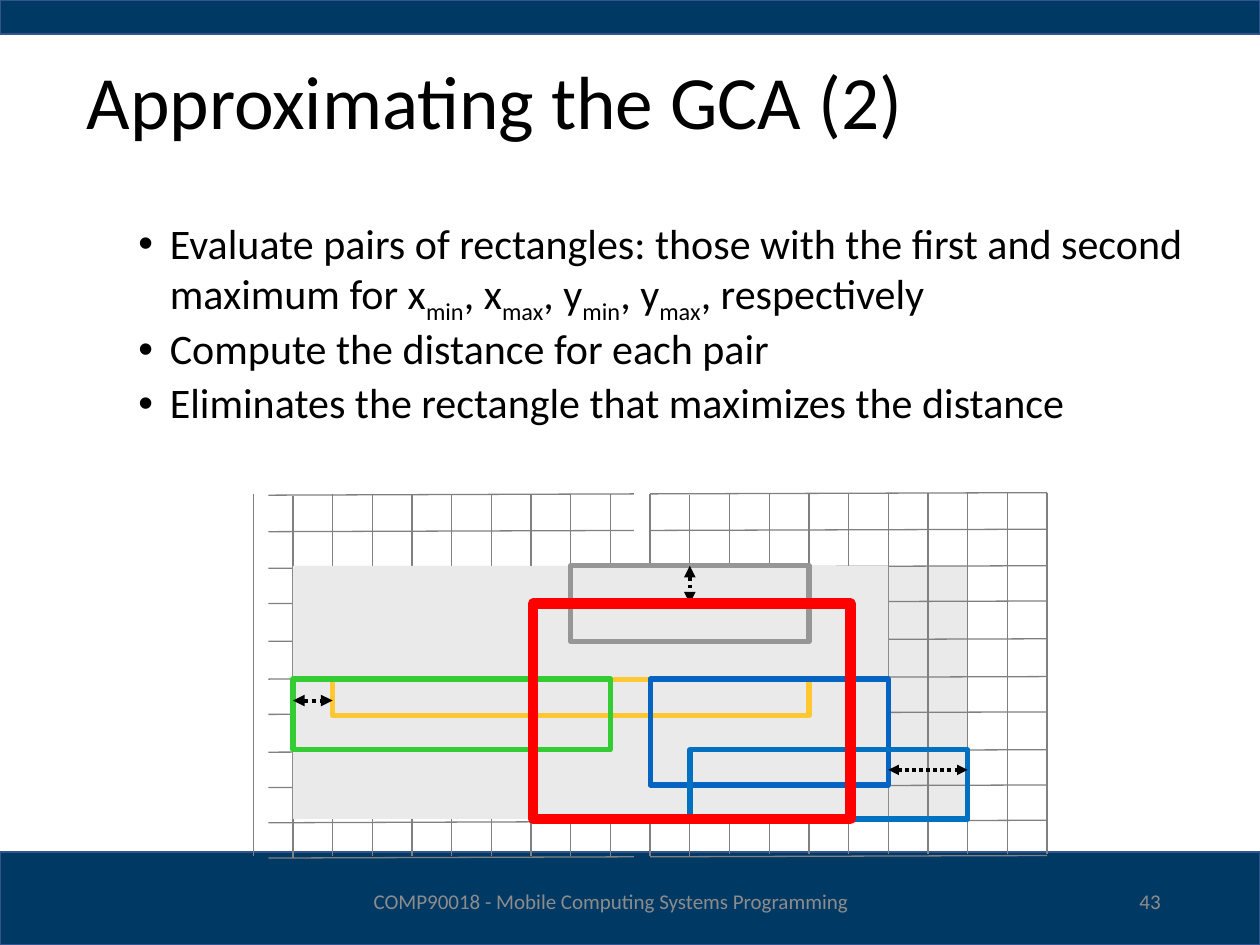
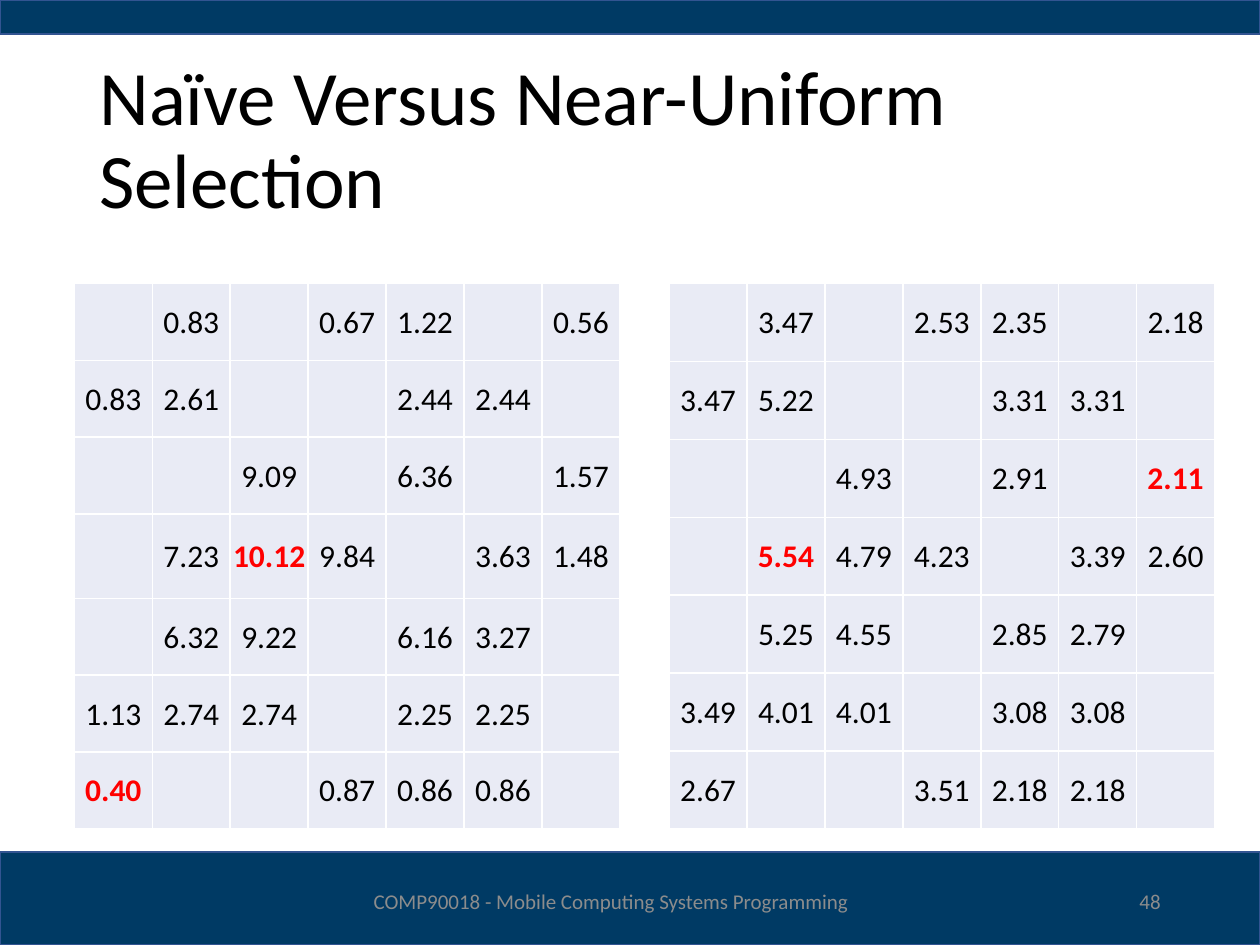
from lxml import etree
from pptx import Presentation
from pptx.dml.color import RGBColor
from pptx.enum.dml import MSO_LINE
from pptx.enum.shapes import MSO_CONNECTOR, MSO_SHAPE
from pptx.enum.text import MSO_ANCHOR, PP_ALIGN
from pptx.oxml.ns import qn
from pptx.util import Inches, Pt

NAVY = RGBColor(0x00, 0x3A, 0x64)
BAND_EDGE = RGBColor(0x32, 0x54, 0x91)
BLACK = RGBColor(0x00, 0x00, 0x00)
WHITE = RGBColor(0xFF, 0xFF, 0xFF)
RED = RGBColor(0xFF, 0x00, 0x00)
FOOTER_GREY = RGBColor(0x8C, 0x8C, 0x8C)
AREA_GREY = RGBColor(0xEA, 0xEA, 0xEA)
GRID_GREY = RGBColor(0x80, 0x80, 0x80)
BOX_GREY = RGBColor(0x96, 0x96, 0x96)
YELLOW = RGBColor(0xFF, 0xC7, 0x31)
GREEN = RGBColor(0x33, 0xCC, 0x33)
BLUE = RGBColor(0x05, 0x63, 0xC1)
BRIGHT_BLUE = RGBColor(0x00, 0x70, 0xC0)
CELL_FILL = RGBColor(0xE9, 0xEB, 0xF5)

FONT = "Calibri"
WIDTH, HEIGHT = 10, 7.5
BANDS = [(0, 6.76, WIDTH, 0.74), (0, 0, WIDTH, 0.27)]
FOOTER = "COMP90018 - Mobile Computing Systems Programming"

# Spans starting with "_" are subscripts.
BULLETS = [
    ["Evaluate pairs of rectangles: those with the first and second maximum for x",
     "_min", ", x", "_max", ", y", "_min", ", y", "_max", ", respectively"],
    ["Compute the distance for each pair"],
    ["Eliminates the rectangle that maximizes the distance"],
]

GRID_LEFT, GRID_STEP = 2.01, 0.315
HALF, COLUMNS = 10, 20
GRID_ROWS = [3.93, 4.22, 4.51, 4.79, 5.09, 5.39, 5.67, 5.97, 6.25, 6.53, 6.81]
BOX_ROWS = {2: 4.49, 3: 4.79, 4: 5.09, 5: 5.39, 6: 5.68, 7: 5.95, 8: 6.23, 9: 6.5}
# Left column, top row, right column, bottom row
WIDE_AREA = (1, 2, 18, 9)
NARROW_AREA = (1, 2, 16, 9)
USER_BOXES = [
    ((2, 5, 14, 6), YELLOW),
    ((1, 5, 9, 7), GREEN),
    ((10, 5, 16, 8), BLUE),
    ((11, 7, 18, 9), BRIGHT_BLUE),
    ((8, 2, 14, 4), BOX_GREY),
]
CLOAK = (7.05, 3, 15.05, 9)
# Start column, end column, height, line width
SIDE_DISTANCES = [(1, 2, 5.56, 2.25), (16, 18, 6.11, 2)]

TABLE_TOP, TABLE_SIDE = 2.25, 4.33
NAIVE = [
    ["", "0.83", "", "0.67", "1.22", "", "0.56"],
    ["0.83", "2.61", "", "", "2.44", "2.44", ""],
    ["", "", "9.09", "", "6.36", "", "1.57"],
    ["", "7.23", "10.12", "9.84", "", "3.63", "1.48"],
    ["", "6.32", "9.22", "", "6.16", "3.27", ""],
    ["1.13", "2.74", "2.74", "", "2.25", "2.25", ""],
    ["0.40", "", "", "0.87", "0.86", "0.86", ""],
]
NEAR_UNIFORM = [
    ["", "3.47", "", "2.53", "2.35", "", "2.18"],
    ["3.47", "5.22", "", "", "3.31", "3.31", ""],
    ["", "", "4.93", "", "2.91", "", "2.11"],
    ["", "5.54", "4.79", "4.23", "", "3.39", "2.60"],
    ["", "5.25", "4.55", "", "2.85", "2.79", ""],
    ["3.49", "4.01", "4.01", "", "3.08", "3.08", ""],
    ["2.67", "", "", "3.51", "2.18", "2.18", ""],
]
# Left edge, values, extremes in red, row heights
TABLES = [
    (0.59, NAIVE, {"10.12", "0.40"}, [0.61] * 3 + [0.67] + [0.61] * 3),
    (5.31, NEAR_UNIFORM, {"5.54", "2.11"}, [TABLE_SIDE / 7] * 7),
]


def inches(values):
    return [Inches(value) for value in values]


def add_span(para, text, size, color=BLACK, bold=False):
    span = para.add_run()
    span.text = text.removeprefix("_")
    font = span.font
    font.name, font.size, font.bold = FONT, Pt(size), bold
    font.color.rgb = color
    if text.startswith("_"):
        font._element.set("baseline", "-25000")


def add_text(page, place, paragraphs, size, color=BLACK, align=PP_ALIGN.LEFT,
             anchor=MSO_ANCHOR.MIDDLE, spacing=None, bulleted=False):
    """Add a text box; each paragraph is a list of spans."""
    frame = page.shapes.add_textbox(*inches(place)).text_frame
    frame.word_wrap, frame.vertical_anchor = True, anchor
    for index, spans in enumerate(paragraphs):
        para = frame.add_paragraph() if index else frame.paragraphs[0]
        if bulleted:
            props = para._p.get_or_add_pPr()
            props.set("marL", str(Inches(0.75)))
            props.set("indent", str(Inches(-0.25)))
            etree.SubElement(props, qn("a:buFont"), typeface="Arial")
            etree.SubElement(props, qn("a:buChar"), char="•")
        para.alignment = align
        if spacing:
            para.line_spacing = spacing
        if index:
            para.space_before = Pt(5)
        for text in spans:
            add_span(para, text, size, color)


def add_box(page, place, fill=None, line=None, width=1):
    box = page.shapes.add_shape(MSO_SHAPE.RECTANGLE, *inches(place))
    box.shadow.inherit = False
    if fill is None:
        box.fill.background()
    else:
        box.fill.solid()
        box.fill.fore_color.rgb = fill
    if line is None:
        box.line.fill.background()
    else:
        box.line.color.rgb = line
        box.line.width = Pt(width)
    return box


def add_line(page, start, end, color=GRID_GREY, width=0.75, arrows=False):
    connector = page.shapes.add_connector(
        MSO_CONNECTOR.STRAIGHT, *inches(start + end))
    line = connector.line
    line.color.rgb = color
    line.width = Pt(width)
    if arrows:
        line.dash_style = MSO_LINE.ROUND_DOT
        for tip in ("a:headEnd", "a:tailEnd"):
            etree.SubElement(line._get_or_add_ln(), qn(tip), type="triangle")
    etree.SubElement(connector._element.spPr, qn("a:effectLst"))
    return connector


def add_page(deck, title, place, size, number):
    page = deck.slides.add_slide(deck.slide_layouts[6])
    for band in BANDS:
        add_box(page, band, NAVY, BAND_EDGE)
    add_text(page, place, [[title]], size, spacing=0.9)
    add_text(page, (2.63, 6.95, 4.44, 0.4), [[FOOTER]], 12, FOOTER_GREY,
             PP_ALIGN.CENTER)
    add_text(page, (7.06, 6.95, 2.25, 0.4), [[str(number)]], 12, FOOTER_GREY,
             PP_ALIGN.RIGHT)
    return page


def column_x(column):
    return GRID_LEFT + column * GRID_STEP


def grid_place(cells):
    left, top, right, bottom = cells
    return (column_x(left), BOX_ROWS[top],
            (right - left) * GRID_STEP, BOX_ROWS[bottom] - BOX_ROWS[top])


def draw_grid(page):
    """Draw two hand-ruled halves, the right one a little higher."""
    for column in range(COLUMNS + 1):
        lift = 0.01 if column > HALF else 0
        drop = 0.02 if column in (1, HALF + 1) else 0
        x = column_x(column)
        add_line(page, (x, 6.79 - lift + drop), (x, 3.92 - lift + drop))
    halves = [(2.13, 5.03, 0), (column_x(HALF), column_x(COLUMNS), 0.01)]
    for start, end, lift in halves:
        for y in GRID_ROWS:
            add_line(page, (start, y - lift), (end, y - lift - 0.01))


def draw_cloaking(page):
    add_box(page, grid_place(WIDE_AREA), AREA_GREY)
    draw_grid(page)
    add_box(page, grid_place(NARROW_AREA), AREA_GREY)
    for cells, color in USER_BOXES:
        top_box = add_box(page, grid_place(cells), line=color, width=3)
    for start, end, y, width in SIDE_DISTANCES:
        add_line(page, (column_x(start), y), (column_x(end), y), BLACK, width,
                 arrows=True)
    middle = column_x(11)
    distance = add_line(page, (middle, BOX_ROWS[2]), (middle, BOX_ROWS[3]),
                        BLACK, 2.25, arrows=True)
    distance.begin_connect(top_box, 0)
    add_box(page, grid_place(CLOAK), line=RED, width=6)


def style_cell(cell):
    cell.fill.solid()
    cell.fill.fore_color.rgb = CELL_FILL
    cell.vertical_anchor = MSO_ANCHOR.MIDDLE
    cell.margin_left = cell.margin_right = cell.margin_top = Inches(0.01)
    cell.margin_bottom = 0
    props = cell._tc.get_or_add_tcPr()
    for index, side in enumerate(("a:lnL", "a:lnR", "a:lnT", "a:lnB")):
        border = etree.Element(qn(side), w=str(Pt(1)))
        paint = etree.SubElement(border, qn("a:solidFill"))
        etree.SubElement(paint, qn("a:srgbClr"), val=str(WHITE))
        props.insert(index, border)


def add_values(page, left, values, extremes, heights):
    place = inches((left, TABLE_TOP, TABLE_SIDE, TABLE_SIDE))
    table = page.shapes.add_table(len(values), len(values[0]), *place).table
    table.first_row = table.horz_banding = False
    for column in table.columns:
        column.width = Inches(TABLE_SIDE / len(values[0]))
    for row, height, texts in zip(table.rows, heights, values):
        row.height = Inches(height)
        for cell, text in zip(row.cells, texts):
            style_cell(cell)
            if text:
                para = cell.text_frame.paragraphs[0]
                para.alignment = PP_ALIGN.CENTER
                extreme = text in extremes
                add_span(para, text, 18, RED if extreme else BLACK, extreme)


def main():
    deck = Presentation()
    deck.slide_width, deck.slide_height = Inches(WIDTH), Inches(HEIGHT)

    page = add_page(deck, "Approximating the GCA (2)",
                    (0.59, 0.36, 8.82, 0.95), 43, 43)
    draw_cloaking(page)
    add_text(page, (0.5, 1.72, 9, 2), BULLETS, 24, anchor=MSO_ANCHOR.TOP,
             spacing=0.9, bulleted=True)

    page = add_page(deck, "Naïve Versus Near-Uniform Selection",
                    (0.69, 0.4, 8.62, 1.45), 44, 48)
    for table in TABLES:
        add_values(page, *table)

    deck.save("out.pptx")


if __name__ == "__main__":
    main()
